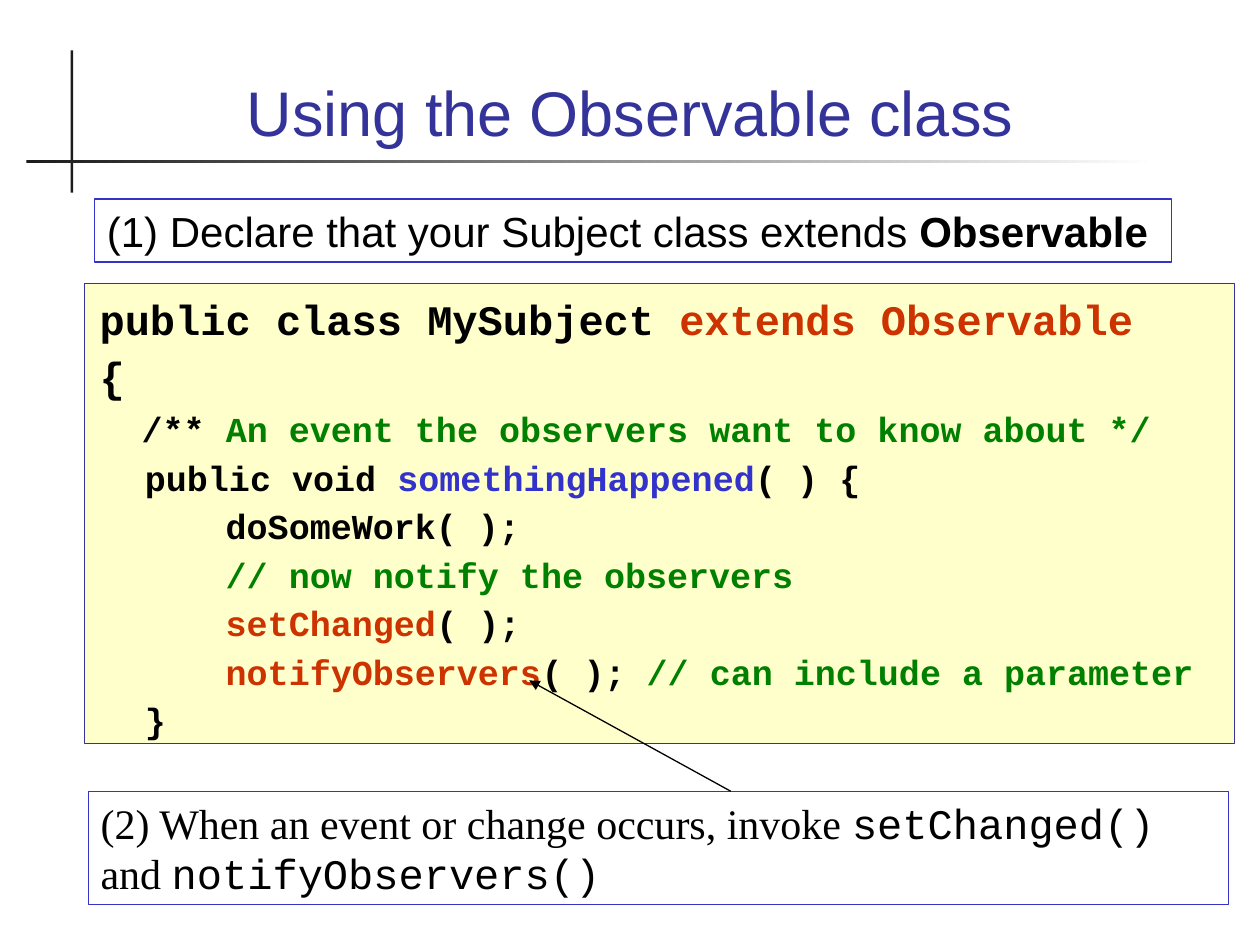
from lxml import etree
from pptx import Presentation
from pptx.dml.color import RGBColor
from pptx.enum.shapes import MSO_CONNECTOR, MSO_SHAPE
from pptx.enum.text import MSO_ANCHOR, MSO_AUTO_SIZE, PP_ALIGN
from pptx.oxml.ns import qn
from pptx.util import Pt

PX = 9144  # EMU per px, 100 px to the inch

BLACK = RGBColor(0x00, 0x00, 0x00)
WHITE = RGBColor(0xFF, 0xFF, 0xFF)
CHARCOAL = RGBColor(0x1C, 0x1C, 0x1C)
NAVY = RGBColor(0x33, 0x33, 0x99)
BLUE = RGBColor(0x33, 0x33, 0xCC)
CREAM = RGBColor(0xFF, 0xFF, 0xCC)
RED = RGBColor(0xCC, 0x33, 0x00)
GREEN = RGBColor(0x00, 0x80, 0x00)

SANS, SERIF, MONO = "Arial", "Times New Roman", "Courier New"
RECTANGLE, STRAIGHT = MSO_SHAPE.RECTANGLE, MSO_CONNECTOR.STRAIGHT
TOP, BOTTOM = MSO_ANCHOR.TOP, MSO_ANCHOR.BOTTOM
LEFT, CENTER = PP_ALIGN.LEFT, PP_ALIGN.CENTER
NO_AUTOFIT = MSO_AUTO_SIZE.NONE

# Each code line is a size and its (text, colour) spans.
CODE = [
    (24, [("public class MySubject ", BLACK), ("extends Observable", RED)]),
    (24, [("{", BLACK)]),
    (20, [("  /**", BLACK),
          (" An event the observers want to know about */", GREEN)]),
    (20, [("\tpublic void ", BLACK), ("somethingHappened", BLUE),
          ("( ) {", BLACK)]),
    (20, [("      doSomeWork( );", BLACK)]),
    (20, [("      // now notify the observers", GREEN)]),
    (20, [("      setChanged", RED), ("( );", BLACK)]),
    (20, [("      notifyObservers", RED), ("( ); ", BLACK),
          ("// can include a parameter", GREEN)]),
    (20, [("\t}", BLACK)]),
]


def place(shape, box):
    shape.left, shape.top, shape.width, shape.height = [n * PX for n in box]


def add_rectangle(page, box):
    left, top, width, height = [n * PX for n in box]
    shape = page.shapes.add_shape(RECTANGLE, left, top, width, height)
    shape.shadow.inherit = False
    return shape


def set_outline(shape, color):
    shape.line.color.rgb = color
    shape.line.width = Pt(0.75)


def set_frame(shape, anchor, top_inset=5):
    frame = shape.text_frame
    frame.word_wrap = True
    frame.auto_size = NO_AUTOFIT
    frame.vertical_anchor = anchor
    frame.margin_left = frame.margin_right = 10 * PX
    frame.margin_top, frame.margin_bottom = top_inset * PX, 5 * PX
    return frame


def add_text(para, text, font=SANS, size=24, color=BLACK, bold=False):
    span = para.add_run()
    span.text = text
    span.font.name = font
    span.font.size = Pt(size)
    span.font.color.rgb = color
    span.font.bold = bold


def add_title(page, box):
    """Fill the title and draw the crossing rules at its lower left."""
    left, top, _, height = box
    upright = add_rectangle(page, (left - 11, top + 12, 2, 113))
    upright.fill.solid()
    upright.fill.fore_color.rgb = CHARCOAL
    upright.line.fill.background()

    level = add_rectangle(page, (left - 46, top + height + 4, 898, 2))
    level.fill.gradient()
    level.fill.gradient_angle = 0
    for stop, color in zip(level.fill.gradient_stops, (CHARCOAL, WHITE)):
        stop.color.rgb = color
    level.line.fill.background()

    title = page.shapes.title
    place(title, box)
    para = set_frame(title, BOTTOM).paragraphs[0]
    para.alignment = CENTER
    add_text(para, "Using the Observable class", size=36, color=NAVY)


def add_code(page, box):
    body = page.placeholders[1]
    place(body, box)
    body.fill.solid()
    body.fill.fore_color.rgb = CREAM
    set_outline(body, NAVY)
    frame = set_frame(body, TOP, top_inset=8)
    for index, (size, spans) in enumerate(CODE):
        para = frame.add_paragraph() if index else frame.paragraphs[0]
        para.space_before = Pt(3.75 if index else 0)
        properties = para._p.get_or_add_pPr()
        properties.set("marL", str(38 * PX))
        properties.set("indent", str(-36 * PX))
        etree.SubElement(properties, qn("a:buNone"))
        for text, color in spans:
            add_text(para, text, font=MONO, size=size, color=color, bold=True)


def add_step(page, box, spans, fill=None):
    """Add an outlined note whose spans are (text, format) pairs."""
    step = add_rectangle(page, box)
    if fill is None:
        step.fill.background()
    else:
        step.fill.solid()
        step.fill.fore_color.rgb = fill
    set_outline(step, BLUE)
    para = set_frame(step, TOP).paragraphs[0]
    para.alignment = LEFT
    for text, style in spans:
        add_text(para, text, **style)


def add_arrow(page, start, end):
    points = [n * PX for n in (*start, *end)]
    arrow = page.shapes.add_connector(STRAIGHT, *points)
    set_outline(arrow, BLACK)
    etree.SubElement(arrow.line._get_or_add_ln(), qn("a:tailEnd"),
                     type="triangle")
    etree.SubElement(arrow._element.spPr, qn("a:effectLst"))


def main():
    deck = Presentation()
    deck.slide_width, deck.slide_height = 1000 * PX, 750 * PX
    page = deck.slides.add_slide(deck.slide_layouts[1])

    add_title(page, (67, 28, 866, 95))
    add_code(page, (67, 225, 913, 365))
    add_step(page, (75, 158, 855, 50), [
        ("(1) Declare that your Subject class extends ", {}),
        ("Observable", {"bold": True}),
    ])
    add_step(page, (70, 628, 905, 90), [
        ("(2) When an event or change occurs, invoke ", {"font": SERIF}),
        ("setChanged()", {"font": MONO}),
        (" and ", {"font": SERIF}),
        ("notifyObservers()", {"font": MONO}),
    ], fill=WHITE)
    add_arrow(page, (580, 628), (420, 540))

    deck.save("out.pptx")


if __name__ == "__main__":
    main()
